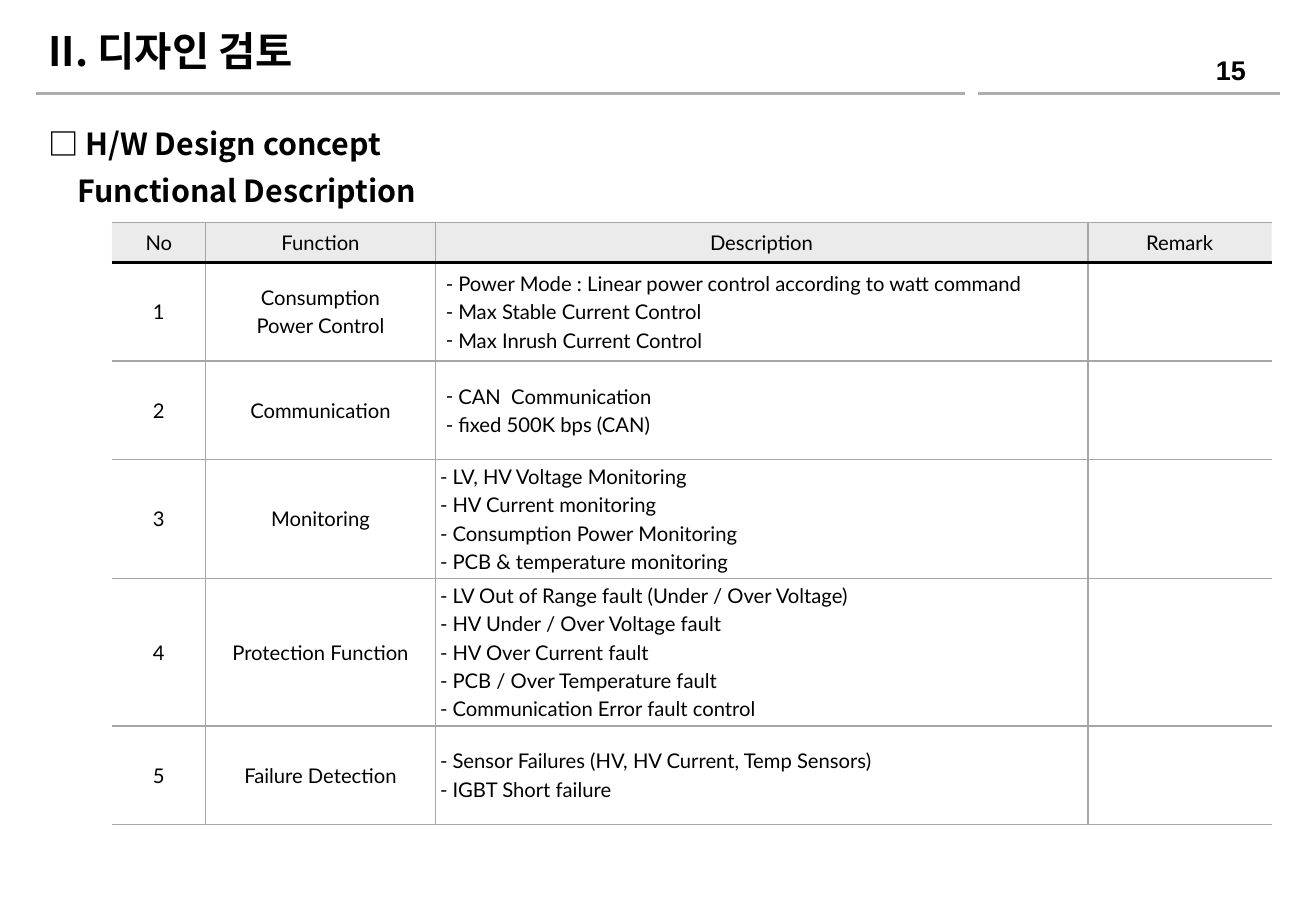
from lxml import etree
from pptx import Presentation
from pptx.dml.color import RGBColor
from pptx.enum.shapes import MSO_CONNECTOR
from pptx.enum.text import MSO_ANCHOR, MSO_AUTO_SIZE, PP_ALIGN
from pptx.oxml.ns import qn
from pptx.util import Cm, Pt

BLACK = RGBColor(0x00, 0x00, 0x00)
RULE_GRAY = RGBColor(0xAE, 0xAE, 0xAE)
BORDER_GRAY = RGBColor(0xA6, 0xA6, 0xA6)
HEADER_GRAY = RGBColor(0xD9, 0xD9, 0xD9)
STRAIGHT = MSO_CONNECTOR.STRAIGHT
MIDDLE = MSO_ANCHOR.MIDDLE
NO_AUTOFIT = MSO_AUTO_SIZE.NONE
LEFT, CENTER = PP_ALIGN.LEFT, PP_ALIGN.CENTER
HEADING_FONT, TABLE_FONT, NUMBER_FONT = "Noto Sans CJK KR", "Lato", "Arial"
NO_STYLE = "{2D5ABB26-0587-4C30-8999-92F81FD0307C}"


def add_run(p, text, font, size, bold=False):
    r = p.add_run()
    r.text = text
    r.font.name = font
    r.font.size = Pt(size)
    r.font.bold = bold
    r.font.color.rgb = BLACK
    etree.SubElement(r.font._element, qn("a:ea"), typeface=font)


def add_border(tcPr, side, color, width):
    ln = etree.SubElement(tcPr, qn(f"a:ln{side}"), w=str(Pt(width)))
    if color is None:
        etree.SubElement(ln, qn("a:noFill"))
    else:
        fill = etree.SubElement(ln, qn("a:solidFill"))
        etree.SubElement(fill, qn("a:srgbClr"), val=str(color))


prs = Presentation()
prs.slide_width, prs.slide_height = Cm(27.51), Cm(19.05)
s = prs.slides.add_slide(prs.slide_layouts[5])

for x1, x2 in [(0.76, 20.17), (20.45, 26.75)]:
    rule = s.shapes.add_connector(STRAIGHT, Cm(x1), Cm(1.96), Cm(x2), Cm(1.96))
    rule.line.color.rgb = RULE_GRAY
    rule.line.width = Pt(2)
    etree.SubElement(rule._element.spPr, qn("a:effectLst"))

title = s.shapes.title
title.left, title.top, title.width, title.height = Cm(0.76), Cm(0.41), Cm(19.2), Cm(1.27)
page_number = s.shapes.add_textbox(Cm(25.17), Cm(0.94), Cm(1.37), Cm(1.02))
heading = s.shapes.add_textbox(Cm(0.76), Cm(2.49), Cm(19.2), Cm(1.02))
subheading = s.shapes.add_textbox(Cm(1.37), Cm(3.48), Cm(13), Cm(1.02))

for sp, text, font, size in [
    (title, "II. 디자인 검토", HEADING_FONT, 24),
    (page_number, "15", NUMBER_FONT, 16),
    (heading, "□ H/W Design concept", HEADING_FONT, 18),
    (subheading, "Functional Description", HEADING_FONT, 18),
]:
    tf = sp.text_frame
    tf.word_wrap = True
    tf.auto_size = NO_AUTOFIT
    tf.vertical_anchor = MIDDLE
    tf.paragraphs[0].alignment = LEFT
    add_run(tf.paragraphs[0], text, font, size, bold=True)

DESCRIPTION = 2
col_widths = [1.96, 4.8, 13.64, 3.84]
row_heights = [0.84, 2.06, 2.06, 2.34, 2.92, 2.06]
bullet_starts = [0, 0.12, 0.12, 0, 0, 0]
rows = [
    (["No"], ["Function"], ["Description"], ["Remark"]),
    (["1"], ["Consumption", "Power Control"], [
        "Power Mode : Linear power control according to watt command",
        "Max Stable Current Control",
        "Max Inrush Current Control"], []),
    (["2"], ["Communication"], [
        "CAN  Communication",
        "fixed 500K bps (CAN)"], []),
    (["3"], ["Monitoring"], [
        "LV, HV Voltage Monitoring",
        "HV Current monitoring",
        "Consumption Power Monitoring",
        "PCB & temperature monitoring"], []),
    (["4"], ["Protection Function"], [
        "LV Out of Range fault (Under / Over Voltage)",
        "HV Under / Over Voltage fault",
        "HV Over Current fault",
        "PCB / Over Temperature fault",
        "Communication Error fault control"], []),
    (["5"], ["Failure Detection"], [
        "Sensor Failures (HV, HV Current, Temp Sensors)",
        "IGBT Short failure"], []),
]

frame = s.shapes.add_table(len(rows), len(col_widths), Cm(2.34), Cm(4.65),
                           Cm(sum(col_widths)), Cm(sum(row_heights)))
table = frame.table
table.first_row = table.horz_banding = False
table._tbl.tblPr.find(qn("a:tableStyleId")).text = NO_STYLE
for column, width in zip(table.columns, col_widths):
    column.width = Cm(width)
for row, height in zip(table.rows, row_heights):
    row.height = Cm(height)

for i, row in enumerate(rows):
    for j, lines in enumerate(row):
        cell = table.cell(i, j)
        cell.vertical_anchor = MIDDLE
        cell.margin_left = cell.margin_right = Cm(0.1)
        cell.margin_top = cell.margin_bottom = Cm(0.1)

        tcPr = cell._tc.get_or_add_tcPr()
        add_border(tcPr, "L", BORDER_GRAY if j > 0 else None, 1)
        add_border(tcPr, "R", BORDER_GRAY if j < len(row) - 1 else None, 1)
        for side, under_header in [("T", i == 1), ("B", i == 0)]:
            color, width = (BLACK, 2.25) if under_header else (BORDER_GRAY, 1)
            add_border(tcPr, side, color, width)
        if i == 0:
            cell.fill.solid()
            cell.fill.fore_color.rgb = HEADER_GRAY
            header_color = tcPr.find(qn("a:solidFill")).find(qn("a:srgbClr"))
            etree.SubElement(header_color, qn("a:alpha"), val="50000")
        else:
            cell.fill.background()

        tf = cell.text_frame
        for k, line in enumerate(lines):
            p = tf.add_paragraph() if k else tf.paragraphs[0]
            if k:
                p.space_before = Pt(2.4)
            if i > 0 and j == DESCRIPTION:
                p.alignment = LEFT
                pPr = p._p.get_or_add_pPr()
                pPr.set("marL", str(Cm(bullet_starts[i] + 0.26)))
                pPr.set("indent", str(Cm(-0.26)))
                etree.SubElement(pPr, qn("a:buFont"), typeface=TABLE_FONT)
                etree.SubElement(pPr, qn("a:buChar"), char="-")
            else:
                p.alignment = CENTER
            add_run(p, line, TABLE_FONT, 12)

prs.save("out.pptx")
